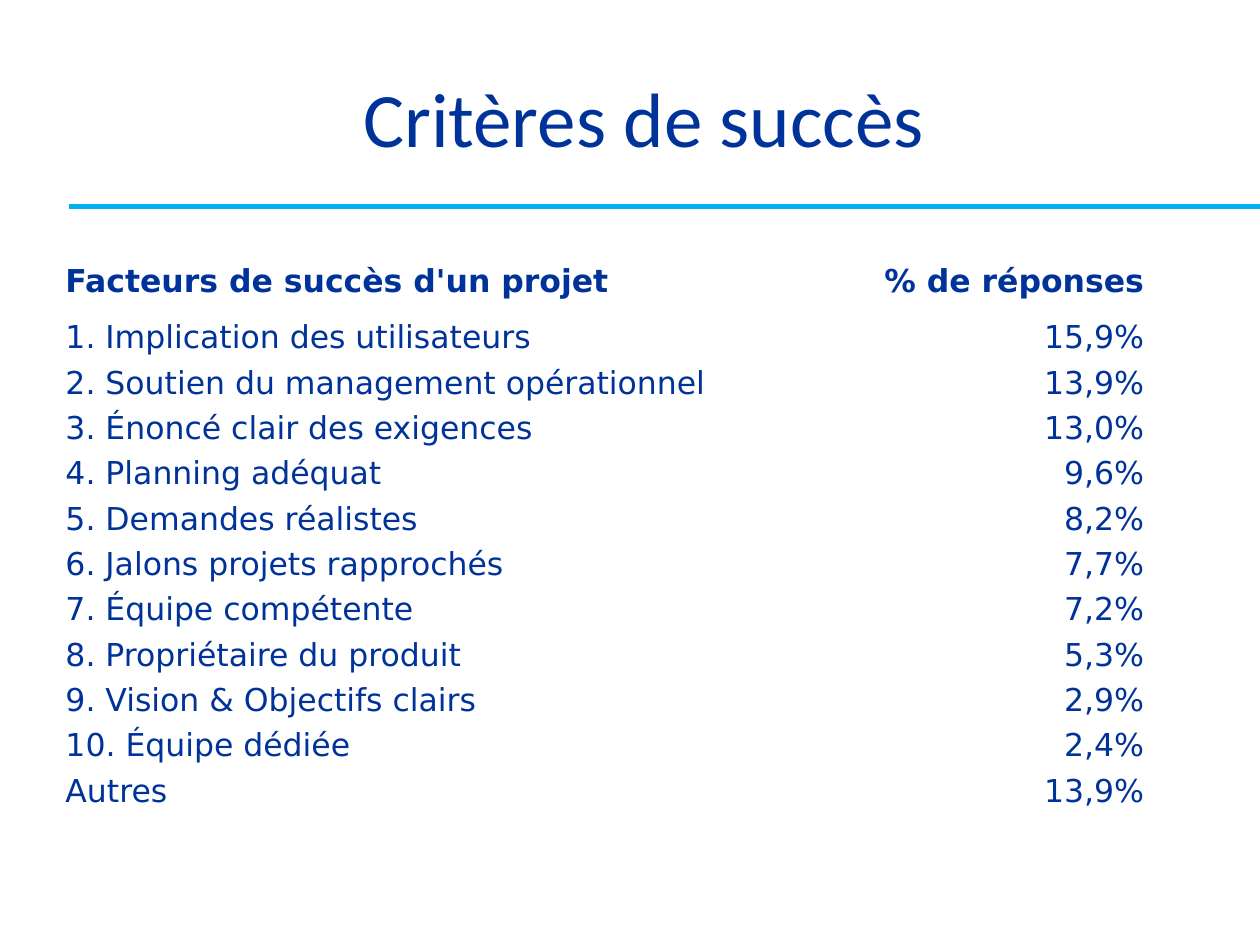
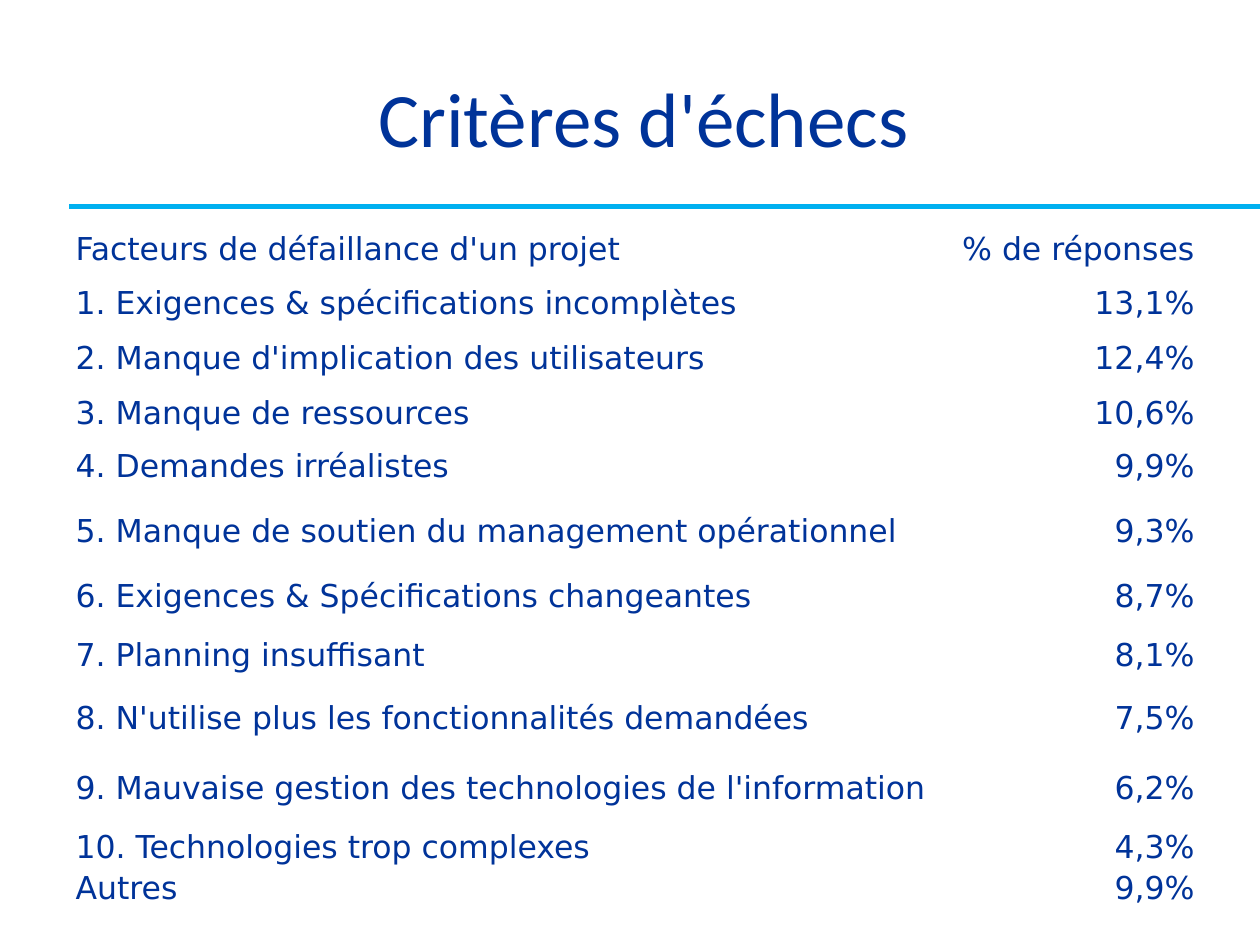
from dataclasses import dataclass

from lxml import etree
from pptx import Presentation
from pptx.dml.color import RGBColor
from pptx.enum.shapes import MSO_CONNECTOR
from pptx.enum.text import MSO_ANCHOR, MSO_AUTO_SIZE, PP_ALIGN
from pptx.oxml.ns import qn
from pptx.util import Inches, Pt

STRAIGHT = MSO_CONNECTOR.STRAIGHT
MIDDLE = MSO_ANCHOR.MIDDLE
FIXED = MSO_AUTO_SIZE.NONE
LEFT, CENTER, RIGHT = PP_ALIGN.LEFT, PP_ALIGN.CENTER, PP_ALIGN.RIGHT
SIDES = ("a:lnL", "a:lnR", "a:lnT", "a:lnB")

SLIDES = [
    {
        "title": "Critères de succès",
        "head": ("Facteurs de succès d'un projet", "% de réponses"),
        "ranked": [
            ("Implication des utilisateurs", "15,9%"),
            ("Soutien du management opérationnel", "13,9%"),
            ("Énoncé clair des exigences", "13,0%"),
            ("Planning adéquat", "9,6%"),
            ("Demandes réalistes", "8,2%"),
            ("Jalons projets rapprochés", "7,7%"),
            ("Équipe compétente", "7,2%"),
            ("Propriétaire du produit", "5,3%"),
            ("Vision & Objectifs clairs", "2,9%"),
            ("Équipe dédiée", "2,4%"),
        ],
        "other": ("Autres", "13,9%"),
        "bold": True,
        "spot": (0.51, 2.02),
        "cols": [6.14, 2.44],
        "rows": [0.53] + [0.36] * 11,
    },
    {
        "title": "Critères d'échecs",
        "head": ("Facteurs de défaillance d'un projet", "% de réponses"),
        "ranked": [
            ("Exigences & spécifications incomplètes", "13,1%"),
            ("Manque d'implication des utilisateurs", "12,4%"),
            ("Manque de ressources", "10,6%"),
            ("Demandes irréalistes", "9,9%"),
            ("Manque de soutien du management opérationnel", "9,3%"),
            ("Exigences & Spécifications changeantes", "8,7%"),
            ("Planning insuffisant", "8,1%"),
            ("N'utilise plus les fonctionnalités demandées", "7,5%"),
            ("Mauvaise gestion des technologies de l'information", "6,2%"),
            ("Technologies trop complexes", "4,3%"),
        ],
        "other": ("Autres", "9,9%"),
        "bold": False,
        "spot": (0.59, 1.78),
        "cols": [7.01, 1.89],
        "rows": [0.49, 0.38, 0.49, 0.38, 0.47, 0.55,
                 0.49, 0.45, 0.55, 0.55, 0.39, 0.26],
    },
]


@dataclass(frozen=True)
class Theme:
    ink: RGBColor = RGBColor.from_string("003399")
    rule: RGBColor = RGBColor.from_string("00B0F0")
    paper: RGBColor = RGBColor.from_string("FFFFFF")
    title_font: str = "Calibri"
    body_font: str = "DejaVu Sans"
    title_size: int = 44
    body_size: int = 18
    line_gap: float = 14.1
    rule_width: float = 2.75
    inset: float = 0.01


THEME = Theme()


def write(frame, text, font=THEME.body_font, size=THEME.body_size,
          bold=False, align=LEFT, gap=None):
    para = frame.paragraphs[0]
    para.alignment = align
    if gap:
        para.line_spacing = Pt(gap)
    run = para.add_run()
    run.text = text
    run.font.name = font
    run.font.size = Pt(size)
    run.font.bold = bold
    run.font.color.rgb = THEME.ink


def add_head(slide, text):
    rule = slide.shapes.add_connector(
        STRAIGHT, Inches(0.55), Inches(1.64), Inches(10), Inches(1.64))
    rule.line.color.rgb = THEME.rule
    rule.line.width = Pt(THEME.rule_width)
    props = rule._element.find(qn("p:spPr"))
    etree.SubElement(props, qn("a:effectLst"))

    title = slide.shapes.title
    title.left, title.top = Inches(0.5), Inches(0.3)
    title.width, title.height = Inches(9.22), Inches(1.25)
    frame = title.text_frame
    frame.auto_size = FIXED
    frame.vertical_anchor = MIDDLE
    write(frame, text, font=THEME.title_font, size=THEME.title_size,
          align=CENTER)


def clear_edges(cell):
    props = cell._tc.get_or_add_tcPr()
    for at, side in enumerate(SIDES):
        edge = etree.Element(qn(side), w="0")
        etree.SubElement(edge, qn("a:noFill"))
        props.insert(at, edge)


def fill_cell(cell, text, **style):
    cell.fill.solid()
    cell.fill.fore_color.rgb = THEME.paper
    clear_edges(cell)
    cell.vertical_anchor = MIDDLE
    edge = Inches(THEME.inset)
    cell.margin_left = cell.margin_right = edge
    cell.margin_top = cell.margin_bottom = edge
    write(cell.text_frame, text, gap=THEME.line_gap, **style)


def add_grid(slide, data):
    ranked = [(f"{rank}. {name}", share)
              for rank, (name, share) in enumerate(data["ranked"], 1)]
    lines = [data["head"], *ranked, data["other"]]
    cols, rows = data["cols"], data["rows"]
    left, top = data["spot"]
    grid = slide.shapes.add_table(
        len(rows), len(cols), Inches(left), Inches(top),
        Inches(sum(cols)), Inches(sum(rows))).table
    grid.first_row = grid.horz_banding = False
    for col, width in zip(grid.columns, cols):
        col.width = Inches(width)
    for row, height in zip(grid.rows, rows):
        row.height = Inches(height)
    for at, line in enumerate(lines):
        for col, (text, align) in enumerate(zip(line, (LEFT, RIGHT))):
            fill_cell(grid.cell(at, col), text, align=align,
                      bold=data["bold"] and at == 0)


def main():
    deck = Presentation()
    deck.slide_width, deck.slide_height = Inches(10), Inches(7.5)
    for data in SLIDES:
        slide = deck.slides.add_slide(deck.slide_layouts[5])
        add_head(slide, data["title"])
        add_grid(slide, data)
    deck.save("out.pptx")


if __name__ == "__main__":
    main()
